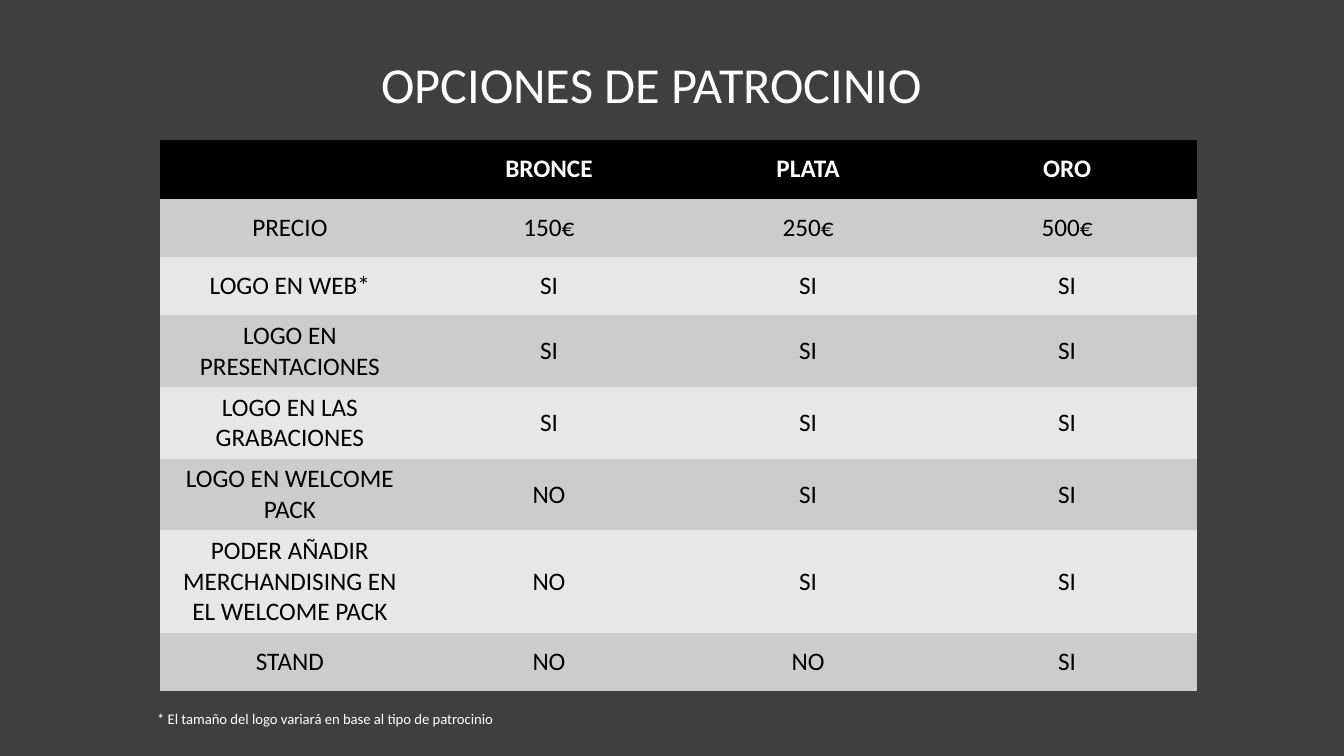
"""Builds the slide of sponsorship options with its comparison table."""
from pptx import Presentation
from pptx.dml.color import RGBColor
from pptx.enum.text import MSO_ANCHOR, PP_ALIGN
from pptx.util import Inches, Pt

TITLE = "OPCIONES DE PATROCINIO"
FOOTNOTE = "* El tamaño del logo variará en base al tipo de patrocinio"
OPTIONS = [
    (0.58, ["", "BRONCE", "PLATA", "ORO"]),
    (0.58, ["PRECIO", "150€", "250€", "500€"]),
    (0.58, ["LOGO EN WEB*", "SI", "SI", "SI"]),
    (0.63, ["LOGO EN PRESENTACIONES", "SI", "SI", "SI"]),
    (0.63, ["LOGO EN LAS GRABACIONES", "SI", "SI", "SI"]),
    (0.63, ["LOGO EN WELCOME PACK", "NO", "SI", "SI"]),
    (0.91, ["PODER AÑADIR MERCHANDISING EN EL WELCOME PACK", "NO", "SI", "SI"]),
    (0.58, ["STAND", "NO", "NO", "SI"]),
]
COLUMN_WIDTH = 2.57
HEADER_FILL, BAND_FILLS = "000000", ("E7E7E7", "CCCCCC")
PLAIN_TABLE_STYLE = "{2D5ABB26-0587-4C30-8999-92F81FD0307C}"

TITLE_FORMAT = {"size": Pt(36), "name": "Calibri", "bold": False}
HEADER_FORMAT = {"size": Pt(18), "name": "Calibri", "bold": True}
BODY_FORMAT = {**HEADER_FORMAT, "bold": False}
FOOTNOTE_FORMAT = {"size": Pt(10.5), "name": "Calibri"}


def paint(fill, color):
    fill.solid()
    fill.fore_color.rgb = RGBColor.from_string(color)


def write(frame, text, formats, color, align):
    paragraph = frame.paragraphs[0]
    paragraph.alignment = align
    run = paragraph.add_run()
    run.text = text
    for attribute, value in formats.items():
        setattr(run.font, attribute, value)
    paint(run.font.fill, color)
    return paragraph


def add_title(slide):
    title = slide.shapes.title
    box = {"left": 0.93, "top": 0.51, "width": 11.07, "height": 0.71}
    for side, length in box.items():
        setattr(title, side, Inches(length))
    title.text_frame.vertical_anchor = MSO_ANCHOR.MIDDLE
    heading = write(title.text_frame, TITLE, TITLE_FORMAT, "FFFFFF", PP_ALIGN.CENTER)
    heading.line_spacing = 0.9


def add_options(slide):
    columns = len(OPTIONS[0][1])
    height = sum(row_height for row_height, _ in OPTIONS)
    frame = slide.shapes.add_table(
        len(OPTIONS), columns, Inches(1.59), Inches(1.39),
        Inches(COLUMN_WIDTH * columns), Inches(height))
    frame.element.xpath(".//a:tableStyleId")[0].text = PLAIN_TABLE_STYLE
    options = frame.table
    for column in options.columns:
        column.width = Inches(COLUMN_WIDTH)
    for row, (row_height, entries) in enumerate(OPTIONS):
        options.rows[row].height = Inches(row_height)
        formats, color, fill = BODY_FORMAT, "000000", BAND_FILLS[row % 2]
        if row == 0:
            formats, color, fill = HEADER_FORMAT, "FFFFFF", HEADER_FILL
        for column, entry in enumerate(entries):
            cell = options.cell(row, column)
            paint(cell.fill, fill)
            cell.vertical_anchor = MSO_ANCHOR.MIDDLE
            if entry:
                write(cell.text_frame, entry, formats, color, PP_ALIGN.CENTER)


def add_footnote(slide):
    footnote = slide.shapes.add_textbox(
        Inches(1.46), Inches(6.99), Inches(3.68), Inches(0.29)).text_frame
    footnote.word_wrap = True
    write(footnote, FOOTNOTE, FOOTNOTE_FORMAT, "FFFFFF", PP_ALIGN.LEFT)


def main():
    deck = Presentation()
    deck.slide_width, deck.slide_height = Inches(13.33), Inches(7.5)
    slide = deck.slides.add_slide(deck.slide_layouts.get_by_name("Title Only"))
    paint(slide.background.fill, "3F3F3F")
    add_title(slide)
    add_options(slide)
    add_footnote(slide)
    deck.save("out.pptx")


if __name__ == "__main__":
    main()
